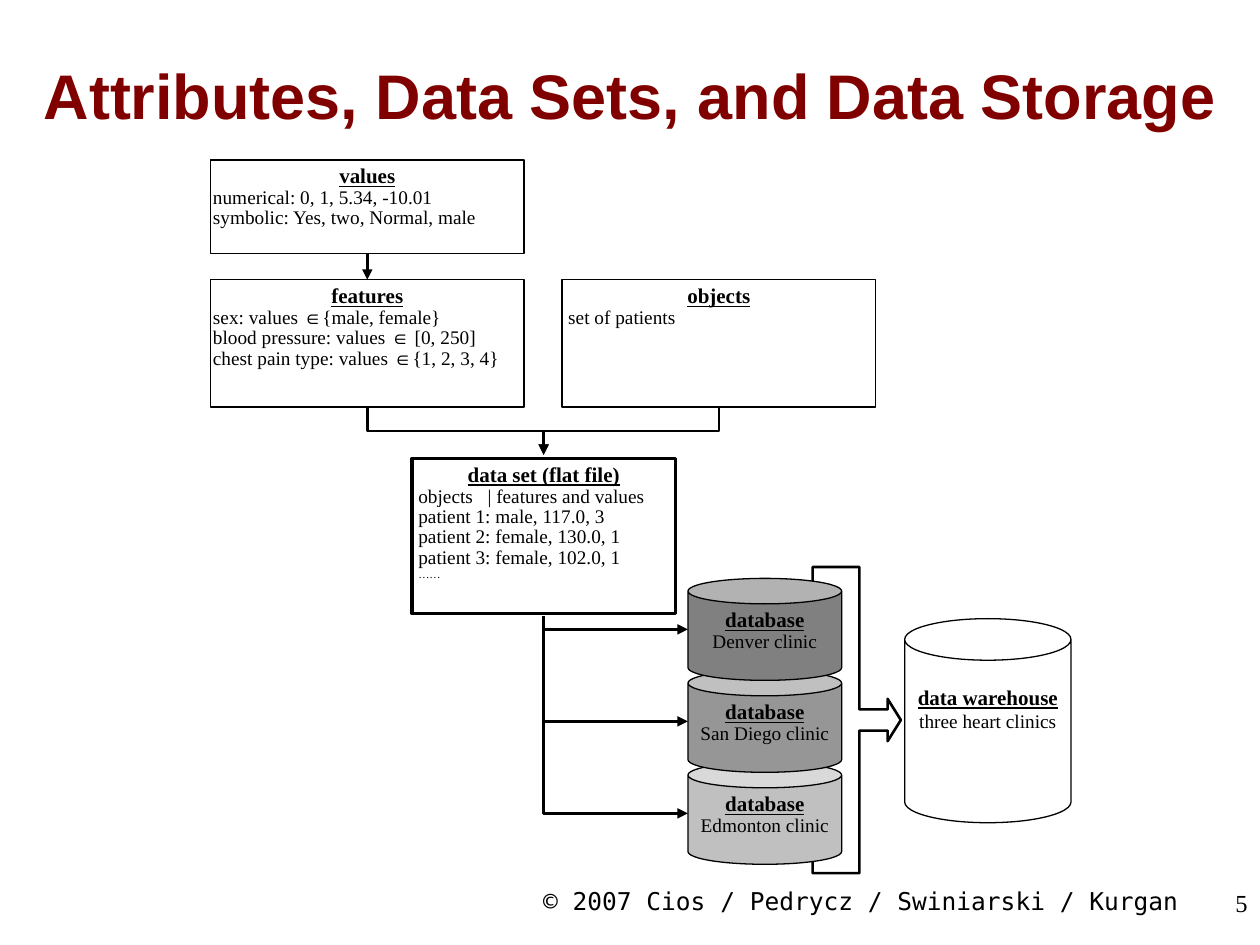
import dataclasses

import pptx
import pptx.dml.color
import pptx.enum.shapes
import pptx.enum.text
import pptx.oxml.ns
import pptx.oxml.xmlchemy
import pptx.util

RGBColor = pptx.dml.color.RGBColor
SHAPE = pptx.enum.shapes.MSO_SHAPE
CONNECTOR = pptx.enum.shapes.MSO_CONNECTOR
ANCHOR = pptx.enum.text.MSO_ANCHOR
ALIGN = pptx.enum.text.PP_ALIGN

BLACK = RGBColor(0x00, 0x00, 0x00)
WHITE = RGBColor(0xFF, 0xFF, 0xFF)
MAROON = RGBColor(0x80, 0x00, 0x00)
LIGHT_GREY = RGBColor(0xC0, 0xC0, 0xC0)
MID_GREY = RGBColor(0x96, 0x96, 0x96)
DARK_GREY = RGBColor(0x80, 0x80, 0x80)

SERIF, SANS, MONO = "Times New Roman", "Arial", "DejaVu Sans Mono"
CELL = pptx.util.Inches(0.1)
COLUMNS, ROWS = 100, 75
TIGHT = 0.88


@dataclasses.dataclass
class Box:
    """A rectangle in grid columns and rows."""
    left: float
    top: float
    width: float
    height: float

    def within(self, left, top, width, height):
        """Return a box offset from this one's corner."""
        return Box(self.left + left, self.top + top, width, height)

    @property
    def center(self):
        """Return the middle column."""
        return self.left + self.width / 2

    @property
    def middle(self):
        """Return the middle row."""
        return self.top + self.height / 2

    @property
    def bottom(self):
        """Return the lowest row."""
        return self.top + self.height

    def emu(self):
        """Return left, top, width and height as lengths."""
        return [cells(v) for v in (self.left, self.top, self.width, self.height)]


def cells(count):
    """Turn grid cells into a length."""
    return pptx.util.Emu(round(count * CELL))


def add_run(paragraph, text, size, font=SERIF, color=BLACK, bold=False, underline=False):
    """Add one formatted run."""
    run = paragraph.add_run()
    run.text = text
    run.font.size = pptx.util.Pt(size)
    run.font.name = font
    run.font.color.rgb = color
    run.font.bold = bold
    run.font.underline = underline


def set_frame(frame, side=1.0, top=0.5, bottom=0.5, anchor=ANCHOR.TOP):
    """Set wrapping, insets and anchor of a text frame."""
    frame.word_wrap = True
    frame.margin_left = frame.margin_right = cells(side)
    frame.margin_top, frame.margin_bottom = cells(top), cells(bottom)
    frame.vertical_anchor = anchor


def text_line(slide, box, text, size, align, anchor=ANCHOR.TOP, **style):
    """Place a single line of text."""
    frame = slide.shapes.add_textbox(*box.emu()).text_frame
    set_frame(frame, anchor=anchor)
    frame.paragraphs[0].alignment = align
    add_run(frame.paragraphs[0], text, size, **style)


def outline(slide, kind, box, fill=None, weight=0.75):
    """Draw a black outlined shape."""
    shape = slide.shapes.add_shape(kind, *box.emu())
    shape.shadow.inherit = False
    if fill is None:
        shape.fill.background()
    else:
        shape.fill.solid()
        shape.fill.fore_color.rgb = fill
    shape.line.color.rgb = BLACK
    shape.line.width = pptx.util.Pt(weight)
    return shape


def write_entity(frame, heading, lines, align=ALIGN.LEFT, spacing=TIGHT):
    """Write an underlined heading and its lines, with ∈ set in the sans font."""
    title = frame.paragraphs[0]
    title.alignment, title.line_spacing = ALIGN.CENTER, spacing
    add_run(title, heading, 12, bold=True, underline=True)
    paragraphs = []
    for line in lines:
        paragraph = frame.add_paragraph()
        paragraph.alignment, paragraph.line_spacing = align, spacing
        before, member, after = line.partition("∈")
        for text, font in ((before, SERIF), (member, SANS), (after, SERIF)):
            if text:
                add_run(paragraph, text, 11, font)
        paragraphs.append(paragraph)
    return paragraphs


def entity(slide, box, heading, lines, weight=0.75, side=0.2):
    """Draw a rectangle that describes one kind of data."""
    frame = outline(slide, SHAPE.RECTANGLE, box, weight=weight).text_frame
    set_frame(frame, side=side)
    return write_entity(frame, heading, lines)


def arrow(slide, x1, y1, x2, y2, bend=None):
    """Draw an arrow, straight or leaving downwards with the given bend preset."""
    span, run = abs(y2 - y1), abs(x2 - x1)
    if bend:
        frame = Box((x1 + x2 - span) / 2, (y1 + y2 - run) / 2, span, run)
        ends = (frame.left, frame.top, frame.left + span, frame.top + run)
    else:
        ends = (x1, y1, x2, y2)
    kind = CONNECTOR.ELBOW if bend else CONNECTOR.STRAIGHT
    connector = slide.shapes.add_connector(kind, *map(cells, ends))
    connector.line.color.rgb = BLACK
    connector.line.width = pptx.util.Pt(1.5)
    properties = connector._element.spPr
    qn, element = pptx.oxml.ns.qn, pptx.oxml.xmlchemy.OxmlElement
    if bend:
        properties.find(qn("a:prstGeom")).set("prst", bend)
        turn = properties.find(qn("a:xfrm"))
        turn.set("rot", str((270 if x2 > x1 else 90) * 60000))
        if x2 > x1:
            turn.set("flipH", "1")
    tail = element("a:tailEnd")
    tail.set("type", "triangle")
    properties.find(qn("a:ln")).append(tail)
    properties.append(element("a:effectLst"))


def sources(slide, box, target):
    """Draw values, features and objects, and lead them to the target."""
    width, gap = 24.9, 3
    values = box.within(0, 0, width, 7.4)
    features = box.within(0, 9.5, width, 10.1)
    objects = box.within(width + gap, 9.5, width, 10.1)
    entity(slide, values, "values",
           ["numerical: 0, 1, 5.34, -10.01", "symbolic: Yes, two, Normal, male"])
    entity(slide, features, "features",
           ["sex: values ∈{male, female}", "blood pressure: values ∈ [0, 250]",
            "chest pain type: values ∈{1, 2, 3, 4}"])
    patients, = entity(slide, objects, "objects", ["set of patients"])
    patients._p.get_or_add_pPr().set("marL", str(cells(0.3)))
    arrow(slide, values.center, values.bottom, features.center, features.top)
    for source in (features, objects):
        arrow(slide, source.center, source.bottom, target.center, target.top - 0.3,
              "bentConnector3")


def flat_file(slide, box):
    """Draw the data set with its table-like lines."""
    lines = entity(slide, box, "data set (flat file)",
                   ["objects\t| features and values", "patient 1: male, 117.0, 3",
                    "patient 2: female, 130.0, 1", "patient 3: female, 102.0, 1", "……"],
                   weight=2, side=0.5)
    tabs = pptx.oxml.xmlchemy.OxmlElement("a:tabLst")
    stop = pptx.oxml.xmlchemy.OxmlElement("a:tab")
    stop.set("pos", str(cells(5.5)))
    stop.set("algn", "l")
    tabs.append(stop)
    lines[0]._p.get_or_add_pPr().append(tabs)
    lines[-1].runs[0].font._element.set("baseline", "30000")


def databases(slide, box, source):
    """Stack the clinic databases from the bottom up, each fed by the source."""
    clinics = [("Denver", DARK_GREY), ("San Diego", MID_GREY), ("Edmonton", LIGHT_GREY)]
    height = 8.1
    pitch = (box.height - height) / (len(clinics) - 1)
    for row, (clinic, grey) in reversed(list(enumerate(clinics))):
        can = box.within(0, row * pitch, box.width, height)
        frame = outline(slide, SHAPE.CAN, can, grey).text_frame
        set_frame(frame, side=0.2, bottom=0)
        write_entity(frame, "database", [f"{clinic} clinic"], ALIGN.CENTER)
        arrow(slide, source.center, source.bottom + 0.2, can.left, can.middle,
              "bentConnector2")


def collector(slide, box):
    """Draw the callout arrow that gathers the databases."""
    callout = outline(slide, SHAPE.RIGHT_ARROW_CALLOUT, box, WHITE, 1.5)
    for index, share in enumerate((0.24, 0.24, 0.15, 0.53)):
        callout.adjustments[index] = share


def warehouse(slide, box):
    """Draw the data warehouse."""
    frame = outline(slide, SHAPE.CAN, box, WHITE).text_frame
    set_frame(frame, side=0.5, top=1.93)
    write_entity(frame, "data warehouse", ["three heart clinics"], ALIGN.CENTER, 1.0)


def footer(slide, box):
    """Place the copyright line and the slide number."""
    text_line(slide, box.within(0, 0, 56.7, 5.2),
              "© 2007 Cios / Pedrycz / Swiniarski / Kurgan", 14, ALIGN.CENTER, font=MONO)
    text_line(slide, box.within(39.2, 0.2, 20.8, 5), "5", 14, ALIGN.RIGHT)


def main():
    """Build and save the slide."""
    deck = pptx.Presentation()
    deck.slide_width, deck.slide_height = cells(COLUMNS), cells(ROWS)
    slide = deck.slides.add_slide(deck.slide_layouts[6])
    data_set = Box(32.7, 36.4, 20.9, 12.3)
    text_line(slide, Box(0, 2.5, COLUMNS, 10), "Attributes, Data Sets, and Data Storage",
              36, ALIGN.CENTER, ANCHOR.MIDDLE, font=SANS, color=MAROON, bold=True)
    sources(slide, Box(16.7, 12.7, 52.8, 19.6), data_set)
    flat_file(slide, data_set)
    collector(slide, Box(64.5, 45, 7, 24.3))
    databases(slide, Box(54.6, 45.9, 12.2, 22.7), data_set)
    warehouse(slide, Box(71.8, 49.1, 13.2, 16.2))
    footer(slide, Box(40, 69.8, 60, 5.2))
    deck.save("out.pptx")


if __name__ == "__main__":
    main()
